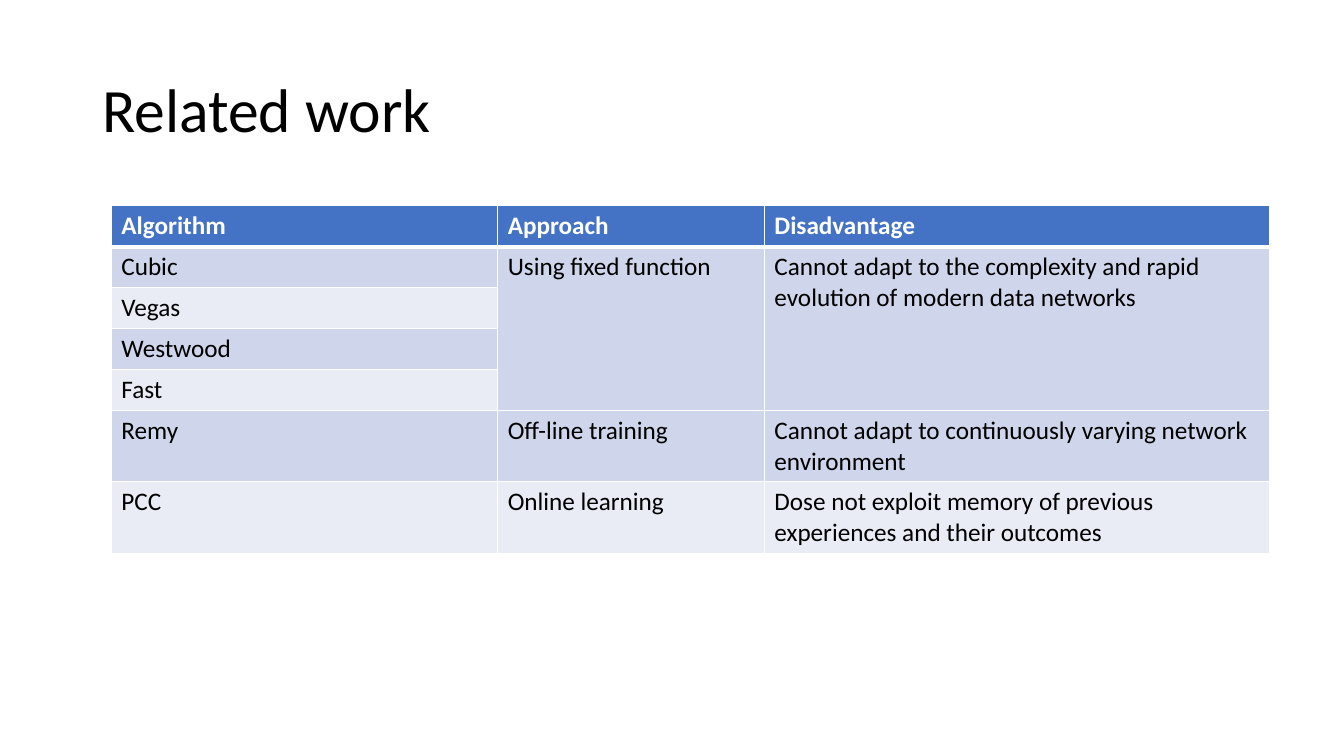
from lxml import etree
from pptx import Presentation
from pptx.dml.color import RGBColor
from pptx.enum.text import MSO_ANCHOR
from pptx.oxml.ns import qn
from pptx.util import Pt

PX = 9525  # 96 px to the inch
MIDDLE = MSO_ANCHOR.MIDDLE
BLACK = RGBColor(0x00, 0x00, 0x00)
WHITE = RGBColor(0xFF, 0xFF, 0xFF)
HEADER_BLUE = RGBColor(0x44, 0x72, 0xC4)
DARK_BAND = RGBColor(0xCF, 0xD5, 0xEA)
LIGHT_BAND = RGBColor(0xE9, 0xEB, 0xF5)
FONT = "Calibri"

ROWS = [
    ("Algorithm", "Approach", "Disadvantage"),
    ("Cubic", "Using fixed function",
     "Cannot adapt to the complexity and rapid evolution of modern data networks"),
    ("Vegas", "", ""),
    ("Westwood", "", ""),
    ("Fast", "", ""),
    ("Remy", "Off-line training",
     "Cannot adapt to continuously varying network environment"),
    ("PCC", "Online learning",
     "Dose not exploit memory of previous experiences and their outcomes"),
]
COLUMN_WIDTHS = [368, 254, 481]
ROW_HEIGHTS = [39] * 5 + [68] * 2


def set_font(para, size, color, bold=False):
    para.font.name = FONT
    para.font.size = Pt(size)
    para.font.bold = bold
    para.font.color.rgb = color


def add_border(cell, side, width):
    line = etree.SubElement(cell._tc.get_or_add_tcPr(), qn(f"a:ln{side}"), w=str(Pt(width)))
    fill = etree.SubElement(line, qn("a:solidFill"))
    etree.SubElement(fill, qn("a:srgbClr"), val=str(WHITE))


deck = Presentation()
deck.slide_width = 1280 * PX
deck.slide_height = 720 * PX
page = deck.slides.add_slide(deck.slide_layouts[6])

# Title
box = page.shapes.add_textbox(88 * PX, 38 * PX, 1104 * PX, 139 * PX)
box.text_frame.word_wrap = True
box.text_frame.vertical_anchor = MIDDLE
title = box.text_frame.paragraphs[0]
title.text = "Related work"
title.line_spacing = 0.9
set_font(title, 44, BLACK)

# Table grid
frame = page.shapes.add_table(len(ROWS), len(COLUMN_WIDTHS), 106 * PX, 196 * PX,
                              sum(COLUMN_WIDTHS) * PX, sum(ROW_HEIGHTS) * PX)
table = frame.table
for column, width in zip(table.columns, COLUMN_WIDTHS):
    column.width = width * PX
for row, height in zip(table.rows, ROW_HEIGHTS):
    row.height = height * PX

# Cells: blue header, then alternating bands
for row_index, texts in enumerate(ROWS):
    is_header = row_index == 0
    band = HEADER_BLUE if is_header else DARK_BAND if row_index % 2 else LIGHT_BAND
    for column_index, text in enumerate(texts):
        cell = table.cell(row_index, column_index)
        cell.text = text
        set_font(cell.text_frame.paragraphs[0], 18, WHITE if is_header else BLACK, is_header)
        add_border(cell, "L", 1)
        add_border(cell, "R", 1)
        add_border(cell, "T", 3 if row_index == 1 else 1)
        add_border(cell, "B", 3 if is_header else 1)
        cell.fill.solid()
        cell.fill.fore_color.rgb = band

# The four fixed-function algorithms share one approach and one disadvantage
for column_index in (1, 2):
    table.cell(1, column_index).merge(table.cell(4, column_index))

deck.save("out.pptx")
